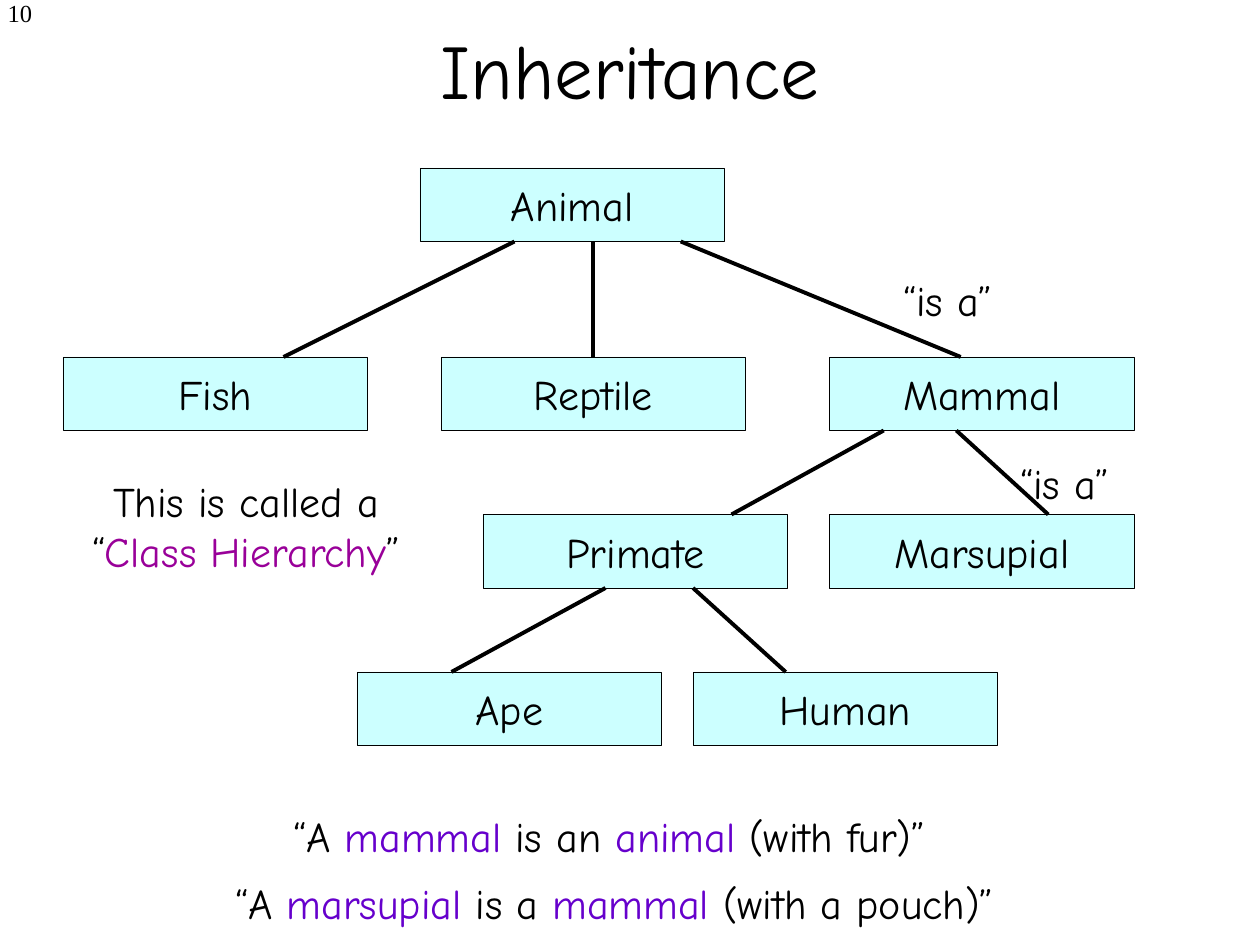
from dataclasses import dataclass

from lxml import etree
from pptx import Presentation
from pptx import util as u
from pptx.dml.color import RGBColor
from pptx.enum import shapes, text
from pptx.oxml import ns


@dataclass(frozen=True)
class Theme:
    """Colours, fonts and type sizes of the slide."""
    ink: str = "000000"
    box: str = "CCFFFF"
    kind: str = "6600CC"
    term: str = "990099"
    hand: str = "Comic Neue"
    serif: str = "Times New Roman"
    title: int = 44
    body: int = 24
    number: int = 14


THEME = Theme()
CLASS_WIDTH, CLASS_HEIGHT = 174, 42
CLASSES = {
    "Animal": (240, 96),
    "Fish": (36, 204),
    "Reptile": (252, 204),
    "Mammal": (474, 204),
    "Primate": (276, 294),
    "Marsupial": (474, 294),
    "Ape": (204, 384),
    "Human": (396, 384),
}
BRANCHES = [
    ("Animal", 294, "Fish", 162),
    ("Animal", 339, "Reptile", 339),
    ("Animal", 389, "Mammal", 549),
    ("Mammal", 505, "Primate", 418),
    ("Mammal", 546.5, "Marsupial", 599),
    ("Primate", 346, "Ape", 258),
    ("Primate", 396, "Human", 449),
]


def write(frame, runs, align, size=THEME.body, font=THEME.hand):
    """Fill the first paragraph with (wording, colour) runs."""
    paragraph = frame.paragraphs[0]
    paragraph.alignment = align
    for wording, colour in runs:
        run = paragraph.add_run()
        run.text = wording
        run.font.size = u.Pt(size)
        run.font.name = font
        run.font.color.rgb = RGBColor.from_string(colour)


def add_label(slide, area, runs, align=text.PP_ALIGN.LEFT, wrap=False,
              anchor=text.MSO_ANCHOR.TOP, **style):
    """Add a text box at (left, top, width, height)."""
    frame = slide.shapes.add_textbox(*map(u.Pt, area)).text_frame
    frame.word_wrap = wrap
    frame.vertical_anchor = anchor
    write(frame, runs, align, **style)


def add_class(slide, name, left, top):
    """Add one class of the hierarchy as a named rectangle."""
    node = slide.shapes.add_shape(
        shapes.MSO_SHAPE.RECTANGLE, u.Pt(left), u.Pt(top),
        u.Pt(CLASS_WIDTH), u.Pt(CLASS_HEIGHT))
    node.shadow.inherit = False
    node.fill.solid()
    node.fill.fore_color.rgb = RGBColor.from_string(THEME.box)
    node.line.color.rgb = RGBColor.from_string(THEME.ink)
    node.line.width = u.Pt(0.25)
    node.text_frame.word_wrap = False
    node.text_frame.vertical_anchor = text.MSO_ANCHOR.MIDDLE
    write(node.text_frame, [(name, THEME.ink)], text.PP_ALIGN.CENTER)
    return node


def add_branch(slide, parent, start, child, end):
    """Draw a line from a parent's bottom edge to a child's top edge."""
    branch = slide.shapes.add_connector(
        shapes.MSO_CONNECTOR.STRAIGHT, u.Pt(start), parent.top + parent.height,
        u.Pt(end), child.top)
    branch.line.color.rgb = RGBColor.from_string(THEME.ink)
    branch.line.width = u.Pt(2.25)
    etree.SubElement(branch.element.spPr, ns.qn("a:effectLst"))
    if u.Pt(end) == child.left + child.width // 2:
        branch.end_connect(child, 0)


def add_example(slide, area, child, link, parent, detail):
    """Add a sentence that relates a child class to its parent."""
    add_label(slide, area, [
        ("“A ", THEME.ink), (child, THEME.kind), (link, THEME.ink),
        (parent, THEME.kind), (detail, THEME.ink)])


def main():
    """Build the class hierarchy slide."""
    deck = Presentation()
    deck.slide_width, deck.slide_height = u.Pt(720), u.Pt(540)
    slide = deck.slides.add_slide(deck.slide_layouts[6])

    add_label(slide, (-124.5, -4.5, 150, 36), [("10", THEME.ink)],
              text.PP_ALIGN.RIGHT, wrap=True, size=THEME.number, font=THEME.serif)
    add_label(slide, (54, -6, 612, 90), [("Inheritance", THEME.ink)],
              text.PP_ALIGN.CENTER, wrap=True, anchor=text.MSO_ANCHOR.MIDDLE,
              size=THEME.title)

    nodes = {name: add_class(slide, name, *spot) for name, spot in CLASSES.items()}
    for parent, start, child, end in BRANCHES:
        add_branch(slide, nodes[parent], start, nodes[child], end)

    for left, top in ((509, 153.5), (576, 258)):
        add_label(slide, (left, top, 71, 36), [("“is a”", THEME.ink)])
    add_label(slide, (34.5, 268, 212, 65),
              [("This is called a “", THEME.ink), ("Class Hierarchy", THEME.term),
               ("”", THEME.ink)], text.PP_ALIGN.CENTER, wrap=True)
    add_example(slide, (160.5, 459.5, 395, 36),
                "mammal", " is an ", "animal", " (with fur)”")
    add_example(slide, (127.5, 498, 466, 36),
                "marsupial", " is a ", "mammal", " (with a pouch)”")
    deck.save("out.pptx")


if __name__ == "__main__":
    main()
